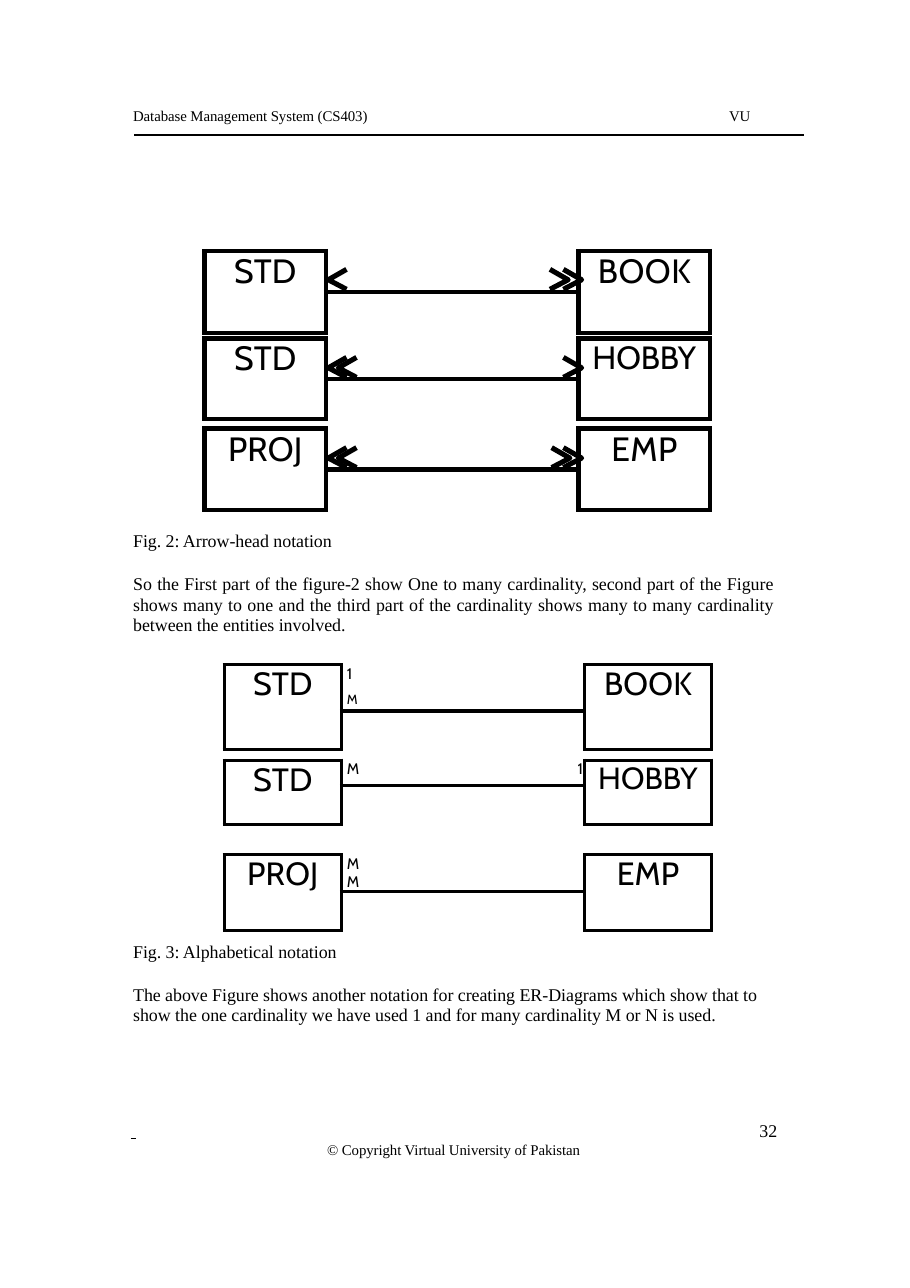
from lxml import etree
from pptx import Presentation
from pptx.dml.color import RGBColor
from pptx.enum.shapes import MSO_CONNECTOR
from pptx.enum.text import PP_ALIGN
from pptx.oxml.ns import qn
from pptx.util import Cm, Pt

LEFT, CENTER, RIGHT, JUSTIFY = PP_ALIGN.LEFT, PP_ALIGN.CENTER, PP_ALIGN.RIGHT, PP_ALIGN.JUSTIFY
STRAIGHT = MSO_CONNECTOR.STRAIGHT
COLORS = {"ink": "000000"}
SERIF, SANS = "Times New Roman", "Cabin"
SMALL, BODY = 9.7, 11.7
TEXT_LEFT = 3.07

# Each label part: text, size, letter spacing, baseline shift
FIGURE_2 = {
    "left": 4.71, "columns": (2.81, 5.82, 3.03), "border": 3.33,
    "relations": [
        {"top": 5.79, "rows": (0.94, 0.94), "entities": (("STD", 22, 0.1), ("BOOK", 22, 0.4))},
        {"top": 7.8, "rows": (0.93, 0.9), "entities": (("STD", 22, 0.1), ("HOBBY", 21, -0.1))},
        {"top": 9.88, "rows": (0.94, 0.94), "entities": (("PROJ", 22, 0.1), ("EMP", 22, 0.4))},
    ],
}
FIGURE_3 = {
    "left": 5.17, "columns": (2.7, 5.61, 2.92), "border": 2.27,
    "relations": [
        {"top": 15.32, "rows": (1.07, 0.89), "entities": (("STD", 21, 0.1), ("BOOK", 21, 0.2)),
         "labels": (("1\t", 10, 0, 0), ("M", 15, 0.3, 3)), "tab": (5.28, "l")},
        {"top": 17.52, "rows": (0.58, 0.9), "entities": (("STD", 21, 0), ("HOBBY", 20, 0)),
         "labels": (("M\t", 10, 0.2, 0), ("1", 10, 0.1, 0)), "tab": (5.44, "r")},
        {"top": 19.7, "rows": (0.86, 0.89), "entities": (("PROJ", 21, 0.1), ("EMP", 21, 0.1)),
         "labels": (("M\tM", 10, 0.2, 0),), "tab": (5.28, "l")},
    ],
}
# Tip height, tips pointing left, tips pointing right
ARROW_HEADS = [
    (6.45, (7.57,), (13.41, 13.1)),
    (8.48, (7.57, 7.8), (13.41,)),
    (10.56, (7.57, 7.8), (13.41, 13.14)),
]


def ink():
    return RGBColor.from_string(COLORS["ink"])


def add_run(paragraph, text, size, face, spacing=0, baseline=0):
    run = paragraph.add_run()
    run.text = text
    for name, value in {"size": Pt(size), "name": face}.items():
        setattr(run.font, name, value)
    run.font.color.rgb = ink()
    properties = run._r.get_or_add_rPr()
    for name, value in {"spc": round(spacing * 100), "baseline": baseline * 1000}.items():
        if value:
            properties.set(name, str(value))


def clear_margins(holder):
    for side in ("left", "top", "right", "bottom"):
        setattr(holder, f"margin_{side}", 0)


def add_text(slide, box, paragraphs):
    """Each paragraph: text, size and a dict of paragraph format values."""
    frame = slide.shapes.add_textbox(*map(Cm, box)).text_frame
    frame.word_wrap = True
    clear_margins(frame)
    for index, (text, size, formats) in enumerate(paragraphs):
        paragraph = frame.add_paragraph() if index else frame.paragraphs[0]
        for name, value in formats.items():
            setattr(paragraph, name, value)
        add_run(paragraph, text, size, SERIF, -0.05)


def add_rule(slide, left, right, y, width):
    rule = slide.shapes.add_connector(STRAIGHT, Cm(left), Cm(y), Cm(right), Cm(y))
    rule.line.color.rgb = ink()
    rule.line.width = Pt(width)
    etree.SubElement(rule._element.spPr, qn("a:effectLst"))


def set_borders(cell, sides, width):
    """Draw the given sides (letters of LRTB) and hide the others."""
    properties = cell._tc.get_or_add_tcPr()
    for side in "LRTB":
        line = etree.SubElement(properties, qn(f"a:ln{side}"), w=str(Pt(width)))
        if side in sides:
            fill = etree.SubElement(line, qn("a:solidFill"))
            etree.SubElement(fill, qn("a:srgbClr"), val=COLORS["ink"])
        else:
            etree.SubElement(line, qn("a:noFill"))
    cell.fill.background()


def add_tab(paragraph, position, alignment):
    tabs = etree.SubElement(paragraph._p.get_or_add_pPr(), qn("a:tabLst"))
    etree.SubElement(tabs, qn("a:tab"), pos=str(Cm(position)), algn=alignment)


def add_relation(slide, figure, relation):
    """Two entity cells joined by the border between the middle cells."""
    columns, rows = figure["columns"], relation["rows"]
    box = figure["left"], relation["top"], sum(columns), sum(rows)
    table = slide.shapes.add_table(2, 3, *map(Cm, box)).table
    table.first_row = table.horz_banding = False
    for column, width in zip(table.columns, columns):
        column.width = Cm(width)
    for row_index, height in enumerate(rows):
        table.rows[row_index].height = Cm(height)
        for column_index in range(3):
            cell = table.cell(row_index, column_index)
            clear_margins(cell)
            middle_sides = ("LRB", "LRT")[row_index]
            set_borders(cell, middle_sides if column_index == 1 else "LRTB", figure["border"])

    for column_index, (entity, size, spacing) in zip((0, 2), relation["entities"]):
        cell = table.cell(0, column_index)
        cell.merge(table.cell(1, column_index))
        paragraph = cell.text_frame.paragraphs[0]
        paragraph.alignment = CENTER
        add_run(paragraph, entity, size, SANS, spacing)

    if "labels" in relation:
        cell = table.cell(0, 1)
        cell.margin_left = Cm(0.13)
        paragraph = cell.text_frame.paragraphs[0]
        add_tab(paragraph, *relation["tab"])
        for text, size, spacing, baseline in relation["labels"]:
            add_run(paragraph, text, size, SANS, spacing, baseline)


def add_arrow_head(slide, tip, y, wing):
    """Open arrow head; a positive wing opens to the right."""
    builder = slide.shapes.build_freeform(Cm(tip + wing), Cm(y - 0.24))
    builder.add_line_segments([(Cm(tip), Cm(y)), (Cm(tip + wing), Cm(y + 0.22))], close=False)
    head = builder.convert_to_shape()
    head.shadow.inherit = False
    head.fill.background()
    head.line.color.rgb = ink()
    head.line.width = Pt(3.33)


def main():
    presentation = Presentation()
    presentation.slide_width, presentation.slide_height = Cm(20.98), Cm(29.69)
    slide = presentation.slides.add_slide(presentation.slide_layouts[6])

    add_text(slide, (TEXT_LEFT, 2.46, 7, 0.41),
             [("Database Management System (CS403)", SMALL, {"alignment": LEFT})])
    add_text(slide, (16.81, 2.46, 0.9, 0.41), [("VU", SMALL, {"alignment": LEFT})])
    add_rule(slide, 3.09, 18.53, 3.11, 1.5)

    for figure in (FIGURE_2, FIGURE_3):
        for relation in figure["relations"]:
            add_relation(slide, figure, relation)
    for y, left_tips, right_tips in ARROW_HEADS:
        for tips, wing in ((left_tips, 0.42), (right_tips, -0.42)):
            for tip in tips:
                add_arrow_head(slide, tip, y, wing)

    body = {"line_spacing": Pt(13.4), "space_before": Pt(14.4)}
    add_text(slide, (TEXT_LEFT, 12.22, 14.76, 2.39), [
        ("Fig. 2: Arrow-head notation", BODY, {"alignment": JUSTIFY}),
        ("So the First part of the figure-2 show One to many cardinality, second part of the "
         "Figure shows many to one and the third part of the cardinality shows many to many "
         "cardinality between the entities involved.", BODY, {"alignment": JUSTIFY, **body}),
    ])
    add_text(slide, (TEXT_LEFT, 21.69, 14.76, 1.93), [
        ("Fig. 3: Alphabetical notation", BODY, {"alignment": LEFT}),
        ("The above Figure shows another notation for creating ER-Diagrams which show that to "
         "show the one cardinality we have used 1 and for many cardinality M or N is used.",
         BODY, {"alignment": LEFT, **body}),
    ])

    add_rule(slide, 3.02, 3.14, 26.25, 0.75)
    add_text(slide, (3, 25.88, 14.92, 0.82), [
        ("32", BODY, {"alignment": RIGHT, "line_spacing": Pt(12.2)}),
        ("© Copyright Virtual University of Pakistan", SMALL,
         {"alignment": CENTER, "line_spacing": Pt(11.2)}),
    ])
    presentation.save("out.pptx")


if __name__ == "__main__":
    main()
